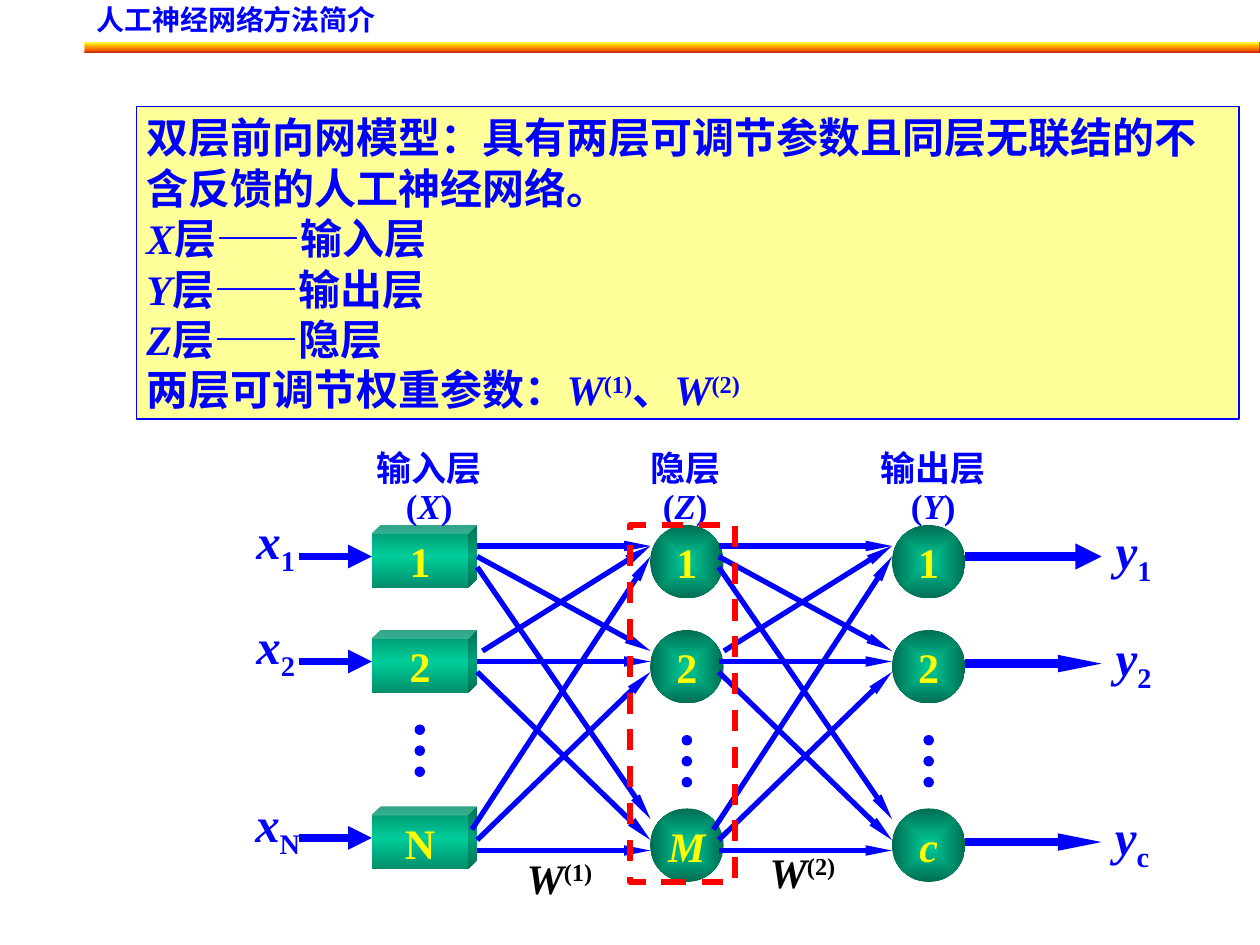
import pptx
import pptx.dml.color
import pptx.enum.dml
import pptx.enum.shapes
import pptx.enum.text
import pptx.oxml
import pptx.oxml.ns
import pptx.util
import lxml.etree

Pt = pptx.util.Pt
RGB = pptx.dml.color.RGBColor
FORMS = pptx.enum.shapes.MSO_SHAPE
ALIGN = pptx.enum.text.PP_ALIGN
ANCHOR = pptx.enum.text.MSO_ANCHOR
AUTO = pptx.enum.text.MSO_AUTO_SIZE
qn = pptx.oxml.ns.qn

BLUE = RGB(0x00, 0x00, 0xFF)
YELLOW = RGB(0xFF, 0xFF, 0x00)
ORANGE = RGB(0xFF, 0x33, 0x00)
RED = RGB(0xFF, 0x00, 0x00)
BLACK = RGB(0x00, 0x00, 0x00)
CREAM = RGB(0xFF, 0xFF, 0x99)
GREEN = RGB(0x00, 0xCC, 0x99)
DARK_GREEN = RGB(0x00, 0x6D, 0x52)
MID_GREEN = RGB(0x00, 0x8E, 0x6B)

deck = pptx.Presentation()
deck.slide_width, deck.slide_height = Pt(720), Pt(540)
page = deck.slides.add_slide(deck.slide_layouts[5])


def add_form(kind, left, top, width, height, colors, radial=False):
    form = page.shapes.add_shape(kind, Pt(left), Pt(top), Pt(width), Pt(height))
    form.shadow.inherit = False
    form.line.fill.background()
    if not colors:
        form.fill.background()
    elif len(colors) == 1:
        form.fill.solid()
        form.fill.fore_color.rgb = colors[0]
    else:
        form.fill.gradient()
        stops = "".join(
            f'<a:gs pos="{100000 * i // (len(colors) - 1)}"><a:srgbClr val="{color}"/></a:gs>'
            for i, color in enumerate(colors))
        course = '<a:lin ang="5400000" scaled="1"/>'
        if radial:
            course = '<a:path path="rect"><a:fillToRect l="50000" t="50000" r="50000" b="50000"/></a:path>'
        properties = form._element.spPr
        properties.replace(properties.find(qn("a:gradFill")), pptx.oxml.parse_xml(
            f'<a:gradFill {pptx.oxml.ns.nsdecls("a")} rotWithShape="1">'
            f'<a:gsLst>{stops}</a:gsLst>{course}</a:gradFill>'))
    return form


def write(box, lines, size, color, align=ALIGN.LEFT, anchor=ANCHOR.TOP, wrap=True,
          margins=(7.2, 3.6, 7.2, 3.6), spacing=1.0):
    frame = box.text_frame
    frame.word_wrap = wrap
    frame.auto_size = AUTO.NONE
    frame.vertical_anchor = anchor
    (frame.margin_left, frame.margin_top,
     frame.margin_right, frame.margin_bottom) = [Pt(margin) for margin in margins]
    for i, line in enumerate(lines):
        para = frame.add_paragraph() if i else frame.paragraphs[0]
        para.alignment = align
        para.line_spacing = spacing
        para.font.name = "Times New Roman"
        para.font.size = Pt(size)
        para.font.bold = True
        para.font.color.rgb = color
        for text, style in line:
            span = para.add_run()
            span.text = text
            if style == "italic":
                span.font.italic = True
            elif style:
                span.font._element.set("baseline", {"sub": "-25000", "super": "30000"}[style])


bar = add_form(FORMS.BEVEL, 48, 24, 672, 6, [YELLOW, ORANGE])
title = page.shapes.title
title.left, title.top, title.width, title.height = Pt(48), Pt(0), Pt(474), Pt(24.5)
write(title, [[("人工神经网络方法简介", "")]], 16, BLUE, spacing=0.9)

ROWS = [300, 360, 462]
for left, last in [(371.5, ("M", "italic")), (509.7, ("c", "italic"))]:
    for top, label in zip(ROWS, [("1", ""), ("2", ""), last]):
        node = add_form(FORMS.OVAL, left, top, 42, 42, [GREEN, DARK_GREEN], radial=True)
        write(node, [[label]], 24, YELLOW, ALIGN.CENTER, ANCHOR.MIDDLE, wrap=False)
for top, label in zip([300, 360, 460.8], "12N"):
    cube = add_form(FORMS.CUBE, 212.5, top, 60, 36, [MID_GREEN, GREEN, MID_GREEN])
    cube.adjustments[0] = 0.14
    write(cube, [[(label, "")]], 24, YELLOW, ALIGN.CENTER, ANCHOR.MIDDLE, wrap=False,
          margins=(1.5, 0, 1.5, 0))
for left, top in [(236.9, 414), (389.5, 420), (527.7, 420)]:
    for i in range(3):
        add_form(FORMS.FLOWCHART_CONNECTOR, left, top + 12 * i, 6, 6, [BLUE])

LINKS = [(0, 312, 312), (0, 378, 378), (0, 486, 486), (0, 318, 372), (0, 324, 468),
         (0, 384, 480), (3, 372, 312), (0, 480, 384), (-3, 474, 318)]
arrows = [(start + shift, begin, start + 99, end, 3, "sm", "lg")
          for start in (272.7, 410.7) for shift, begin, end in LINKS]
arrows += [(170.6, y, 212.5, y, 4.5, "med", "med") for y in (318, 378, 478.8)]
arrows += [(551.7, y, 629.5, y, 5, *head) for y, head in
           [(318, ("med", "med")), (379.2, ("sm", "lg")), (481.2, ("sm", "lg"))]]
for x1, y1, x2, y2, weight, head_width, head_length in arrows:
    arrow = page.shapes.add_connector(
        pptx.enum.shapes.MSO_CONNECTOR.STRAIGHT, Pt(x1), Pt(y1), Pt(x2), Pt(y2))
    arrow.line.color.rgb = BLUE
    arrow.line.width = Pt(weight)
    lxml.etree.SubElement(arrow.line._get_or_add_ln(), qn("a:tailEnd"),
                          type="triangle", w=head_width, len=head_length)
    lxml.etree.SubElement(arrow._element.spPr, qn("a:effectLst"))

SYMBOLS = [("x", "1", 139.5, 288), ("x", "2", 139.5, 348), ("x", "N", 138.8, 450),
           ("y", "1", 630.5, 294), ("y", "2", 630.5, 355), ("y", "c", 630, 457.2)]
for letter, index, left, top in SYMBOLS:
    symbol = page.shapes.add_textbox(Pt(left), Pt(top), Pt(50), Pt(45.4))
    write(symbol, [[(letter, "italic"), (index, "sub")]], 28, BLUE)
for index, left, top in [("(1)", 293.8, 483.5), ("(2)", 432.7, 480)]:
    weight_label = page.shapes.add_textbox(Pt(left), Pt(top), Pt(60), Pt(36))
    write(weight_label, [[("W", "italic"), (index, "super")]], 24, BLACK)
for name, letter, center in [("输入层", "X", 245.3), ("隐层", "Z", 391.6), ("输出层", "Y", 533.3)]:
    heading = page.shapes.add_textbox(Pt(center - 40), Pt(258), Pt(80), Pt(43.2))
    write(heading, [[(name, "")], [("(", ""), (letter, "italic"), (")", "")]],
          20, BLUE, ALIGN.CENTER, margins=(0, 0, 0, 0), spacing=0.9)

hidden_frame = add_form(FORMS.RECTANGLE, 360, 300, 60, 204, [])
hidden_frame.line.color.rgb = RED
hidden_frame.line.width = Pt(3)
hidden_frame.line.dash_style = pptx.enum.dml.MSO_LINE.DASH

summary = add_form(FORMS.RECTANGLE, 78, 61, 630, 178.5, [CREAM])
summary.line.color.rgb = BLUE
summary.line.width = Pt(0.75)
layers = [("X", "输入层"), ("Y", "输出层"), ("Z", "隐层")]
write(summary,
      [[("双层前向网模型：具有两层可调节参数且同层无联结的不含反馈的人工神经网络。", "")]]
      + [[(letter, "italic"), ("层——" + name, "")] for letter, name in layers]
      + [[("两层可调节权重参数：", ""), ("W", "italic"), ("(1)", "super"), ("、", ""),
          ("W", "italic"), ("(2)", "super")]],
      24, BLUE, margins=(5.7, 2.9, 2.9, 2.9))

deck.save("out.pptx")
